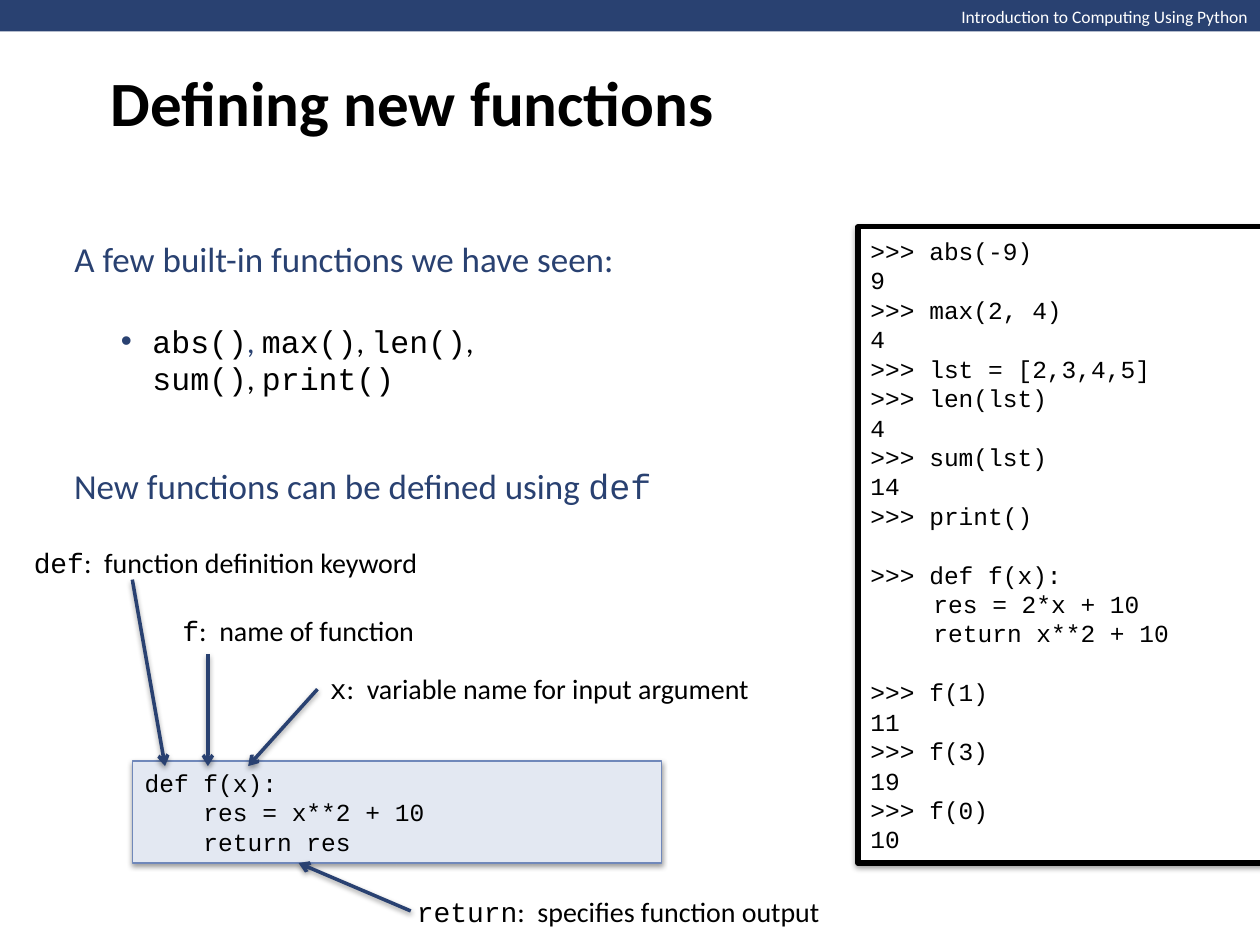
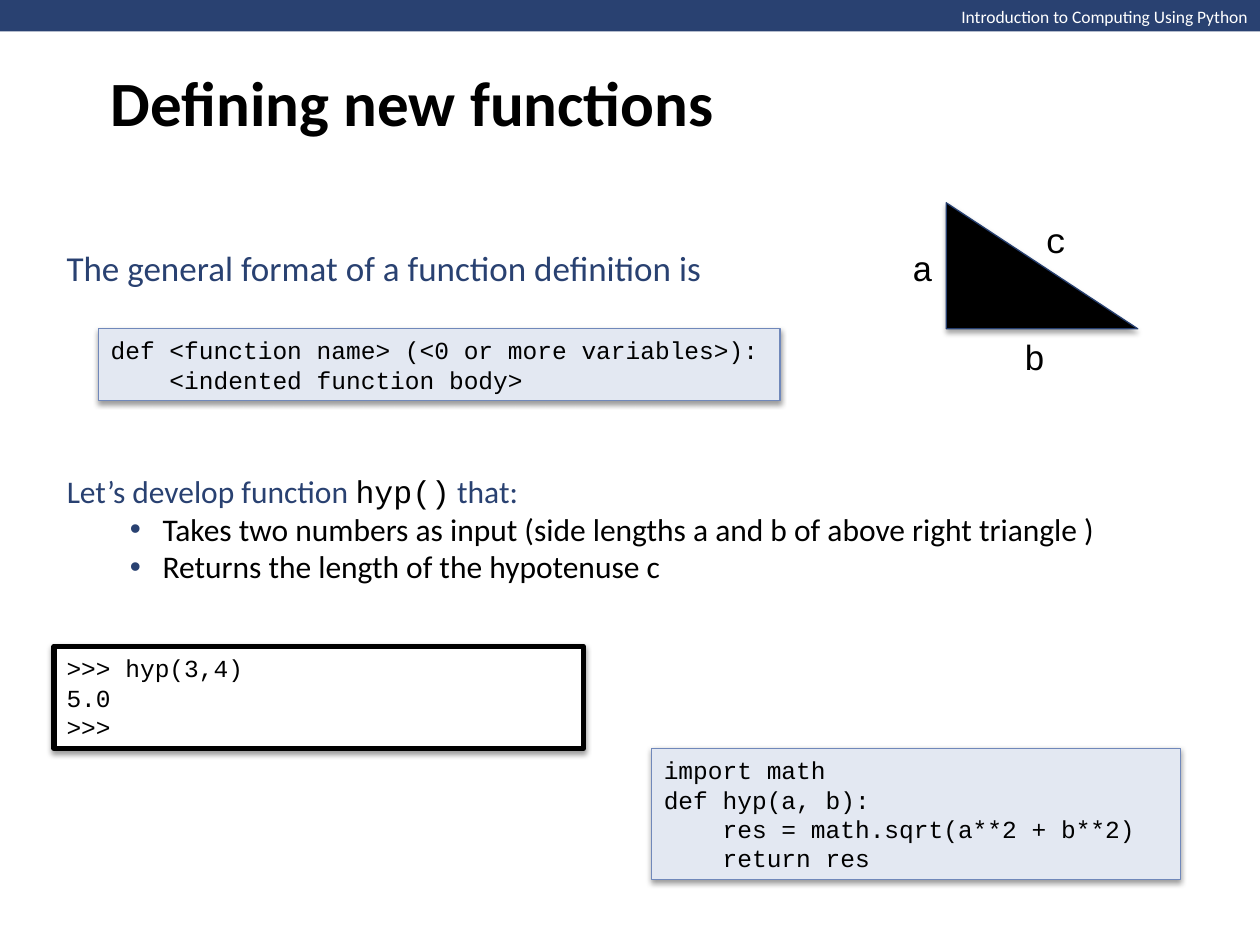
from lxml.etree import SubElement
from pptx import Presentation
from pptx.dml.color import RGBColor
from pptx.enum.shapes import MSO_CONNECTOR, MSO_SHAPE
from pptx.enum.text import MSO_ANCHOR, MSO_AUTO_SIZE, PP_ALIGN
from pptx.oxml.ns import qn
from pptx.util import Inches, Pt

NAVY = RGBColor(0x29, 0x41, 0x71)
OUTLINE_NAVY = RGBColor(0x26, 0x3F, 0x70)
PALE_BLUE = RGBColor(0xE3, 0xE8, 0xF2)
EDGE_BLUE = RGBColor(0x70, 0x88, 0xBA)
BLACK = RGBColor(0, 0, 0)
WHITE = RGBColor(0xFF, 0xFF, 0xFF)
SANS, MONO = "Calibri", "Courier New"
CODE_PITCH = Pt(16.8)
PROGRAM = {"fill": PALE_BLUE, "edge": EDGE_BLUE, "weight": 0.75}
SHELL = {"fill": WHITE, "edge": BLACK, "weight": 3}

BUILTIN_SESSION = """>>> abs(-9)
9
>>> max(2, 4)
4
>>> lst = [2,3,4,5]
>>> len(lst)
4
>>> sum(lst)
14
>>> print()

>>> def f(x):
\tres = 2*x + 10
\treturn x**2 + 10

>>> f(1)
11
>>> f(3)
19
>>> f(0)
10"""
HYP_SESSION = """>>> hyp(3,4)
5.0
>>>"""
F_PROGRAM = """def f(x):
    res = x**2 + 10
    return res"""
GENERAL_FORMAT = """def <function name> (<0 or more variables>):
    <indented function body>"""
HYP_PROGRAM = """import math
def hyp(a, b):
    res = math.sqrt(a**2 + b**2)
    return res"""


def assign(target, **values):
    """Set every given format value on the target."""
    for key, value in values.items():
        setattr(target, key, value)


def place(box):
    """Turn a box in inches into lengths."""
    return [Inches(length) for length in box]


def write(paragraph, runs, size, bold=False):
    """Write (text, typeface, colour) runs into a paragraph."""
    for text, typeface, colour in runs:
        run = paragraph.add_run()
        run.text = text
        assign(run.font, name=typeface, size=Pt(size), bold=bold)
        run.font.color.rgb = colour


def prepare(frame):
    """Fix a text frame to its box, with its text centred vertically."""
    assign(frame, word_wrap=True, auto_size=MSO_AUTO_SIZE.NONE,
           vertical_anchor=MSO_ANCHOR.MIDDLE)
    return frame


def add_line(slide, box, runs, size, alignment=PP_ALIGN.LEFT):
    """Add one line of text in a box."""
    frame = prepare(slide.shapes.add_textbox(*place(box)).text_frame)
    frame.paragraphs[0].alignment = alignment
    write(frame.paragraphs[0], runs, size)


def cast_shadow(effects, opacity=38, distance=20000):
    """Put a soft downward shadow in an effect list."""
    shadow = SubElement(effects, qn("a:outerShdw"), blurRad="40000",
                        dist=str(distance), dir="5400000", rotWithShape="0")
    colour = SubElement(shadow, qn("a:srgbClr"), val=str(BLACK))
    SubElement(colour, qn("a:alpha"), val=str(opacity * 1000))


def add_block(slide, preset, box, fill, edge=None, weight=0):
    """Add a filled preset shape, outlined when an edge colour is given."""
    block = slide.shapes.add_shape(preset, *place(box))
    block.shadow.inherit = False
    block.fill.solid()
    block.fill.fore_color.rgb = fill
    if edge is None:
        block.line.fill.background()
    else:
        block.line.color.rgb = edge
        block.line.width = Pt(weight)
    return block


def add_code(slide, box, code, look):
    """Add a shadowed panel of code, where an empty line becomes a gap."""
    panel = add_block(slide, MSO_SHAPE.RECTANGLE, box, **look)
    cast_shadow(panel._element.spPr.find(qn("a:effectLst")))
    frame = prepare(panel.text_frame)
    paragraph = frame.paragraphs[0]
    for group_number, group in enumerate(code.split("\n\n")):
        for line_number, line in enumerate(group.split("\n")):
            if group_number or line_number:
                paragraph = frame.add_paragraph()
            starts_group = group_number and not line_number
            assign(paragraph, alignment=PP_ALIGN.LEFT, line_spacing=CODE_PITCH,
                   space_before=CODE_PITCH if starts_group else Pt(0))
            write(paragraph, [(line, MONO, BLACK)], 14)


def add_arrow(slide, start, end):
    """Add a shadowed arrow between two points."""
    arrow = slide.shapes.add_connector(MSO_CONNECTOR.STRAIGHT,
                                       *place(start + end))
    arrow.line.color.rgb = NAVY
    arrow.line.width = Pt(2)
    properties = arrow._element.spPr
    SubElement(properties.find(qn("a:ln")), qn("a:tailEnd"), type="arrow")
    cast_shadow(SubElement(properties, qn("a:effectLst")))


def fill_body(slide, box, entries):
    """Fill the body with (runs, size, margin, hanging, gap) entries."""
    body = slide.placeholders[1]
    assign(body, **dict(zip(("left", "top", "width", "height"), place(box))))
    frame = prepare(body.text_frame)
    for number, (runs, size, margin, hanging, gap) in enumerate(entries):
        paragraph = frame.add_paragraph() if number else frame.paragraphs[0]
        properties = paragraph._p.get_or_add_pPr()
        properties.set("marL", str(Inches(margin)))
        properties.set("indent", str(-Inches(hanging)))
        if hanging:
            colour = SubElement(properties, qn("a:buClr"))
            SubElement(colour, qn("a:srgbClr"), val=str(NAVY))
            SubElement(properties, qn("a:buFont"), typeface="Arial")
            SubElement(properties, qn("a:buChar"), char="•")
        else:
            SubElement(properties, qn("a:buNone"))
        assign(paragraph, level=1 if margin else 0, space_before=Pt(gap),
               space_after=Pt(0), alignment=PP_ALIGN.LEFT)
        write(paragraph, runs, size)


def start_slide(deck):
    """Add a slide with the course band and the shared title."""
    slide = deck.slides.add_slide(deck.slide_layouts[1])
    add_block(slide, MSO_SHAPE.RECTANGLE, (0, 0, 10, 0.25), NAVY)
    add_line(slide, (7, 0, 3, 0.27),
             [("Introduction to Computing Using Python", SANS, WHITE)], 10,
             PP_ALIGN.RIGHT)
    title = slide.shapes.title
    assign(title, **dict(zip(("left", "top", "width", "height"),
                             place((0.78, 0, 8.5, 1.61)))))
    paragraph = prepare(title.text_frame).paragraphs[0]
    paragraph.alignment = PP_ALIGN.LEFT
    write(paragraph, [("Defining new functions", SANS, BLACK)], 36, bold=True)
    return slide


def add_annotated_function(slide, box):
    """Add the example function with its parts explained around it."""
    left, top = box[:2]
    add_code(slide, box, F_PROGRAM, PROGRAM)
    notes = [
        ("def", "function definition keyword", (-0.88, -1.76), 3.4,
         (0, -1.44), (0.26, 0.04)),
        ("f", "name of function", (0.3, -1.22), 2.2,
         (0.6, -0.85), (0.6, 0.04)),
        ("x", "variable name for input argument", (1.47, -0.76), 3.65,
         (1.47, -0.57), (0.92, 0.04)),
        ("return", "specifies function output", (2.16, 1.01), 3.65,
         (2.21, 1.19), (1.32, 0.81)),
    ]
    for part, meaning, (x, y), width, tail, head in notes:
        add_arrow(slide, (left + tail[0], top + tail[1]),
                  (left + head[0], top + head[1]))
        add_line(slide, (left + x, top + y, width, 0.37),
                 [(part, MONO, BLACK), (f":  {meaning}", SANS, BLACK)], 16)


def add_right_triangle(slide, box):
    """Add the right triangle with its sides named."""
    left, top = box[:2]
    triangle = add_block(slide, MSO_SHAPE.RIGHT_TRIANGLE, box, BLACK,
                         OUTLINE_NAVY, 0.75)
    cast_shadow(triangle._element.spPr.find(qn("a:effectLst")), 35, 23000)
    for side, x, y in (("a", -0.37, 0.29), ("b", 0.52, 1), ("c", 0.69, 0.07)):
        add_line(slide, (left + x, top + y, 0.4, 0.44),
                 [(side, MONO, BLACK)], 20)


def build_builtin_slide(deck):
    """Build the slide on built-in functions and def."""
    slide = start_slide(deck)
    fill_body(slide, (0.49, 1.83, 5, 1.38), [
        ([("A few built-in functions we have seen:", SANS, NAVY)], 20, 0, 0, 0),
        ([("abs()", MONO, BLACK), (", ", SANS, NAVY), ("max()", MONO, BLACK),
          (", ", SANS, BLACK), ("len()", MONO, BLACK), (",", SANS, BLACK)],
         18, 0.62, 0.25, 24),
        ([("sum()", MONO, BLACK), (", ", SANS, BLACK),
          ("print()", MONO, BLACK)], 18, 0.62, 0, 0),
    ])
    add_line(slide, (0.49, 3.63, 5, 0.44),
             [("New functions can be defined using ", SANS, NAVY),
              ("def", MONO, NAVY)], 20)
    add_annotated_function(slide, (1.05, 6.04, 4.2, 0.81))
    add_code(slide, (6.81, 1.8, 3.21, 5.05), BUILTIN_SESSION, SHELL)


def build_format_slide(deck):
    """Build the slide on the general format and the hyp exercise."""
    slide = start_slide(deck)
    add_line(slide, (0.43, 1.9, 5.5, 0.44),
             [("The general format of a function definition is", SANS, NAVY)],
             20)
    add_code(slide, (0.78, 2.61, 5.41, 0.57), GENERAL_FORMAT, PROGRAM)
    add_right_triangle(slide, (7.51, 1.61, 1.52, 1))
    fill_body(slide, (0.43, 3.69, 8.8, 1.01), [
        ([("Let’s develop function ", SANS, NAVY), ("hyp()", MONO, BLACK),
          (" that:", SANS, NAVY)], 18, 0, 0, 0),
        ([("Takes two numbers as input (side lengths a and b of above right "
           "triangle )", SANS, BLACK)], 18, 0.76, 0.26, 0),
        ([("Returns the length of the hypotenuse c", SANS, BLACK)],
         18, 0.76, 0.26, 0),
    ])
    add_code(slide, (0.43, 5.13, 4.2, 0.81), HYP_SESSION, SHELL)
    add_code(slide, (5.17, 5.94, 4.2, 1.04), HYP_PROGRAM, PROGRAM)


def main():
    """Build and save the deck."""
    deck = Presentation()
    assign(deck, slide_width=Inches(10), slide_height=Inches(7.5))
    build_builtin_slide(deck)
    build_format_slide(deck)
    deck.save("out.pptx")


if __name__ == "__main__":
    main()
